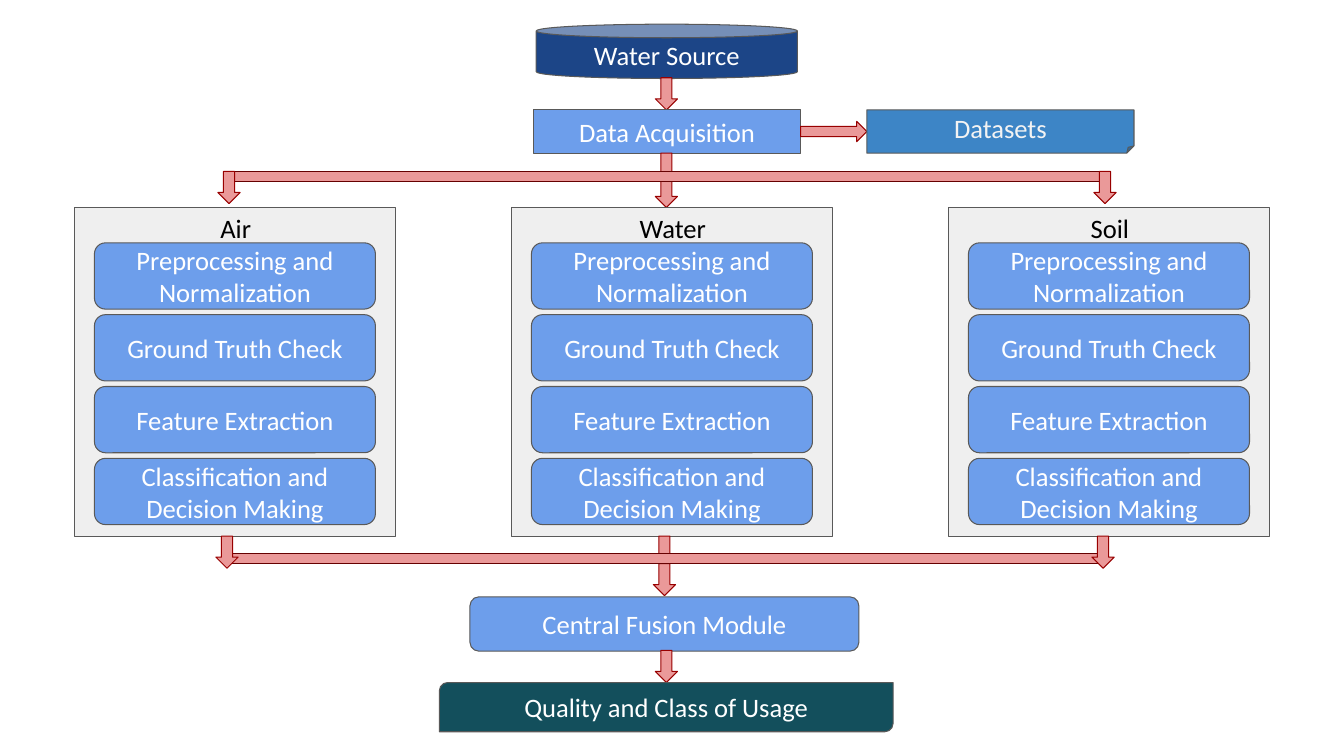
from dataclasses import dataclass

from pptx import Presentation, util as u
from pptx.dml.color import RGBColor
from pptx.enum import shapes, text

Kind = shapes.MSO_SHAPE


@dataclass(frozen=True)
class Theme:
    font: str = "Calibri"
    size: float = 19
    rule: float = 0.75
    pad: float = 0.33
    white: str = "FFFFFF"
    pale: str = "F3F3F3"
    black: str = "000000"
    edge: str = "595959"
    panel: str = "EFEFEF"
    navy: str = "1C4587"
    blue: str = "6D9EEB"
    sky: str = "3D85C6"
    teal: str = "134F5C"
    pink: str = "EA9999"
    red: str = "980000"
    wine: str = "660000"


T = Theme()
STEPS = (
    "Preprocessing and Normalization",
    "Ground Truth Check",
    "Feature Extraction",
    "Classification and Decision Making",
)
ARROW_W, ARROW_H = 0.56, 0.81
MID = 16.79  # centre line of the main flow


def write(shape, words, color=T.white, anchor=text.MSO_ANCHOR.MIDDLE):
    frame = shape.text_frame
    frame.word_wrap = True
    frame.vertical_anchor = anchor
    frame.margin_left = frame.margin_right = u.Cm(T.pad)
    frame.margin_top = frame.margin_bottom = u.Cm(T.pad)
    para = frame.paragraphs[0]
    para.alignment = text.PP_ALIGN.CENTER
    run = para.add_run()
    run.text = words
    run.font.name = T.font
    run.font.size = u.Pt(T.size)
    run.font.color.rgb = RGBColor.from_string(color)


def draw(slide, kind, box, fill, line=T.edge, words=None, color=T.white):
    """Add a preset shape in box (left, top, width, height in cm)."""
    shape = slide.shapes.add_shape(kind, *map(u.Cm, box))
    shape.shadow.inherit = False
    shape.fill.solid()
    shape.fill.fore_color.rgb = RGBColor.from_string(fill)
    shape.line.color.rgb = RGBColor.from_string(line)
    shape.line.width = u.Pt(T.rule)
    if words:
        write(shape, words, color=color)


def drop(slide, mid, top):
    """Add a down arrow centred on mid."""
    box = (mid - ARROW_W / 2, top, ARROW_W, ARROW_H)
    draw(slide, Kind.DOWN_ARROW, box, T.pink, T.red)


def source(slide, left, top):
    wide, high = 6.73, 1.09
    row = top + 2.16
    data = left + 8.4
    draw(slide, Kind.CAN, (left + 0.07, top, 6.58, 1.37), T.navy,
         words="Water Source")
    drop(slide, MID, top + 1.35)
    draw(slide, Kind.RECTANGLE, (left, row, wide, high), T.blue,
         words="Data Acquisition")
    draw(slide, Kind.RIGHT_ARROW, (left + wide, row + 0.29, data - left - wide, 0.51),
         T.pink, T.red)
    draw(slide, Kind.FOLDED_CORNER, (data, row, wide, high), T.sky,
         words="Datasets", color=T.pale)


def branch(slide, box, mid, stem, tip, ends):
    """Add a bar with two arrows on its middle and one at each end."""
    left, top, wide, high = box
    for y in (stem, tip):
        drop(slide, mid, y)
    draw(slide, Kind.RECTANGLE, box, T.pink, T.wine)
    for x in (left + 0.11, left + wide - 0.1):
        drop(slide, x, ends)


def column(slide, box, name):
    left, top, wide, high = box
    inset, pitch = 0.5, 1.81
    draw(slide, Kind.RECTANGLE, box, T.panel)
    for i, step in enumerate(STEPS):
        spot = (left + inset, top + 0.89 + i * pitch, wide - 2 * inset, 1.67)
        draw(slide, Kind.FLOWCHART_ALTERNATE_PROCESS, spot, T.blue, words=step)
    spot = (left + 2.36, top - 0.23, 3.4, 0.79)
    label = slide.shapes.add_textbox(*map(u.Cm, spot))
    write(label, name, color=T.black, anchor=text.MSO_ANCHOR.TOP)


def result(slide, left, top):
    draw(slide, Kind.FLOWCHART_ALTERNATE_PROCESS, (left + 0.77, top, 9.8, 1.37),
         T.blue, words="Central Fusion Module")
    drop(slide, MID, top + 1.35)
    draw(slide, Kind.ROUND_2_DIAG_RECTANGLE, (left, top + 2.16, 11.43, 1.24),
         T.teal, words="Quality and Class of Usage")


def main():
    deck = Presentation()
    deck.slide_width, deck.slide_height = u.Cm(33.86), u.Cm(19.05)
    slide = deck.slides.add_slide(deck.slide_layouts[6])
    source(slide, 13.44, 0.61)
    branch(slide, (5.66, 4.32, 22.28, 0.25), MID, stem=3.86, tip=4.42, ends=4.32)
    for i, name in enumerate(("Air", "Water", "Soil")):
        column(slide, (1.88 + i * 11.01, 5.23, 8.08, 8.29), name)
    branch(slide, (5.61, 13.94, 22.28, 0.25), 16.74, stem=13.51, tip=14.2, ends=13.51)
    result(slide, 11.07, 15.04)
    deck.save("out.pptx")


if __name__ == "__main__":
    main()
